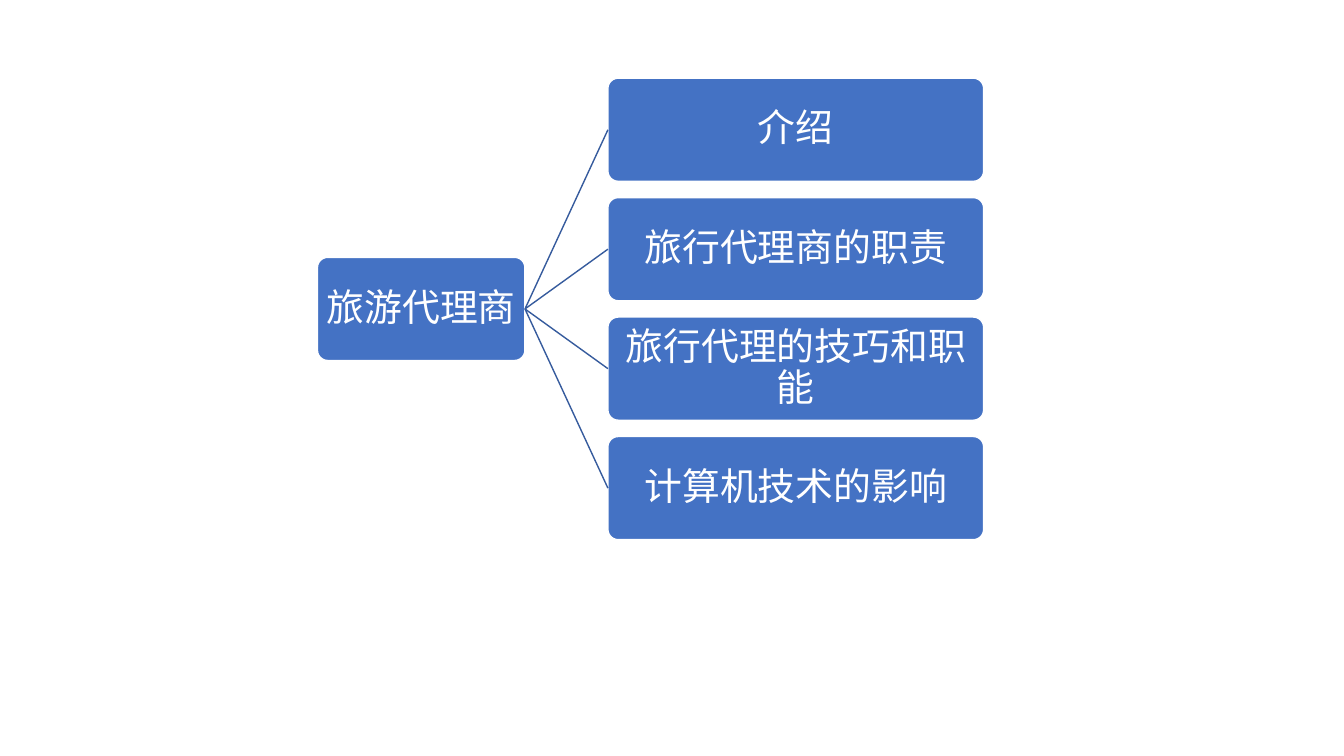
from lxml.etree import SubElement
from pptx import Presentation
from pptx.dml.color import RGBColor
from pptx.enum.shapes import MSO_CONNECTOR, MSO_SHAPE
from pptx.enum.text import MSO_ANCHOR, PP_ALIGN
from pptx.oxml.ns import qn
from pptx.util import Cm, Pt

BLUE = RGBColor(0x44, 0x72, 0xC4)
DARK_BLUE = RGBColor(0x36, 0x5B, 0x9D)
WHITE = RGBColor(0xFF, 0xFF, 0xFF)
FONT = "Noto Sans CJK SC"

ROOT = "旅游代理商"
TOPICS = ["介绍", "旅行代理商的职责", "旅行代理的技巧和职能", "计算机技术的影响"]

ROOT_LEFT, ROOT_WIDTH = 8.0, 5.23
TOPIC_LEFT, TOPIC_WIDTH = 15.32, 9.47
TOP, HEIGHT, PITCH = 1.97, 2.6, 3.01

FRAME_FORMAT = {
    "word_wrap": True,
    "vertical_anchor": MSO_ANCHOR.MIDDLE,
    "margin_left": Cm(0.05),
    "margin_right": Cm(0.05),
    "margin_top": Cm(0.05),
    "margin_bottom": Cm(0.05),
}
PARAGRAPH_FORMAT = {"alignment": PP_ALIGN.CENTER, "line_spacing": 0.9}
FONT_FORMAT = {"name": FONT, "size": Pt(27)}


def apply_format(obj, values):
    for name, value in values.items():
        setattr(obj, name, value)


def add_box(s, text, left, top, width):
    sp = s.shapes.add_shape(
        MSO_SHAPE.ROUNDED_RECTANGLE, Cm(left), Cm(top), Cm(width), Cm(HEIGHT)
    )
    sp.adjustments[0] = 0.1
    sp.shadow.inherit = False
    sp.fill.solid()
    sp.fill.fore_color.rgb = BLUE
    sp.line.color.rgb = WHITE
    sp.line.width = Pt(1)
    tf = sp.text_frame
    apply_format(tf, FRAME_FORMAT)
    p = tf.paragraphs[0]
    apply_format(p, PARAGRAPH_FORMAT)
    r = p.add_run()
    r.text = text
    apply_format(r.font, FONT_FORMAT)
    r.font.color.rgb = WHITE
    SubElement(r.font._element, qn("a:ea")).set("typeface", FONT)
    return sp


def add_branch(s, root, topic):
    c = s.shapes.add_connector(MSO_CONNECTOR.STRAIGHT, 0, 0, 0, 0)
    c.begin_connect(root, 3)
    c.end_connect(topic, 1)
    c.line.color.rgb = DARK_BLUE
    c.line.width = Pt(1)
    SubElement(c._element.spPr, qn("a:effectLst"))


def main():
    prs = Presentation()
    prs.slide_width, prs.slide_height = Cm(33.87), Cm(19.05)
    s = prs.slides.add_slide(prs.slide_layouts[6])
    root_top = TOP + PITCH * (len(TOPICS) - 1) / 2
    root = add_box(s, ROOT, ROOT_LEFT, root_top, ROOT_WIDTH)
    for i, text in enumerate(TOPICS):
        topic = add_box(s, text, TOPIC_LEFT, TOP + i * PITCH, TOPIC_WIDTH)
        add_branch(s, root, topic)
    prs.save("out.pptx")


if __name__ == "__main__":
    main()
